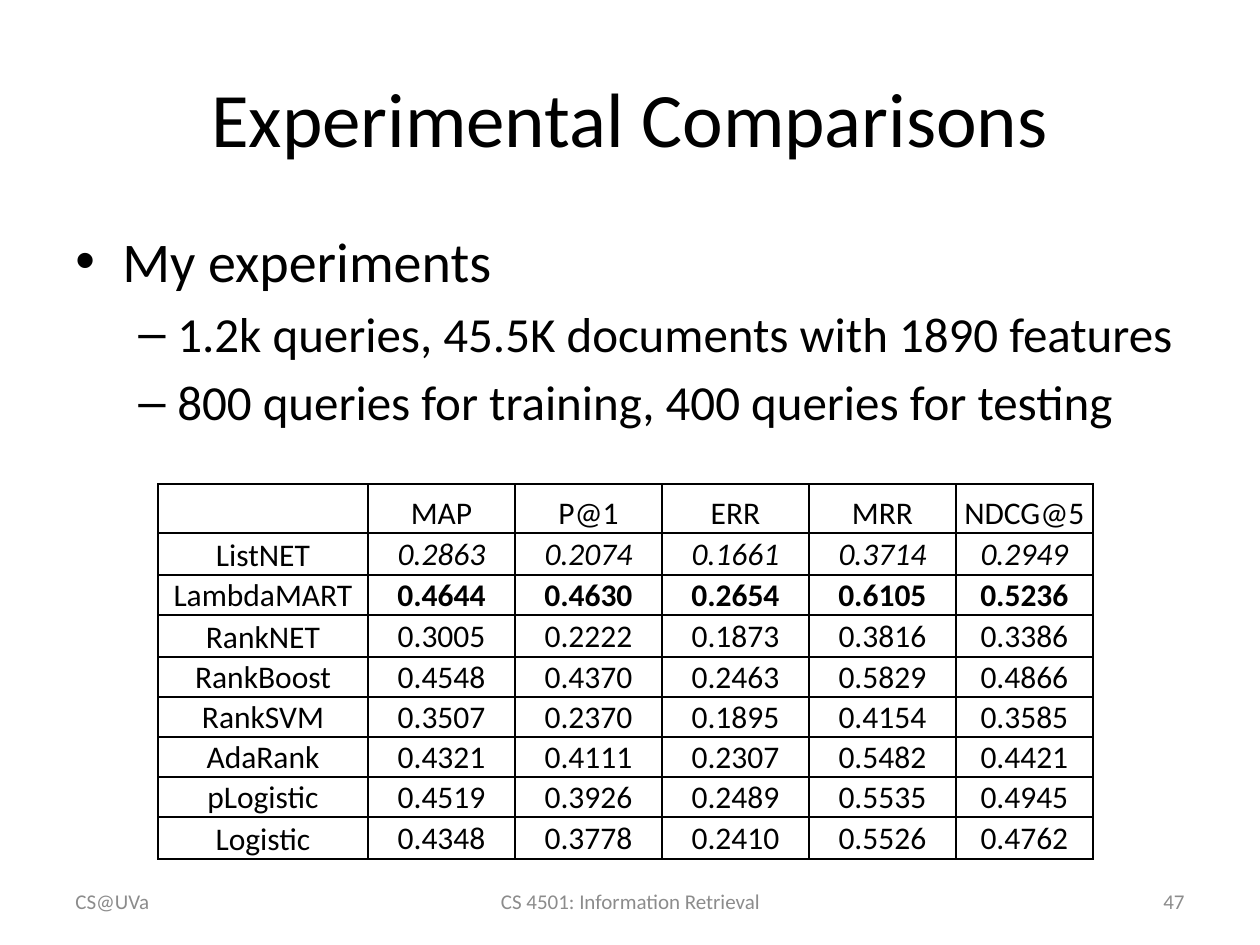
from lxml.etree import SubElement
from pptx import Presentation
from pptx.dml.color import RGBColor
from pptx.enum.text import MSO_ANCHOR, PP_ALIGN
from pptx.oxml.ns import qn
from pptx.util import Emu, Pt

SCALE = 914400 // 126  # EMU per px
FONT = "Calibri"
BLACK, GREY = "000000", "8C8C8C"

TITLE = "Experimental Comparisons"
# text, bullet, size, left margin px, hanging px
BULLETS = [
    ("My experiments", "•", 32, 47, 47),
    ("1.2k queries, 45.5K documents with 1890 features", "–", 28, 102, 39),
    ("800 queries for training, 400 queries for testing", "–", 28, 102, 39),
]
METRICS = ["", "MAP", "P@1", "ERR", "MRR", "NDCG@5"]
RESULTS = [
    ("ListNET", "0.2863", "0.2074", "0.1661", "0.3714", "0.2949"),
    ("LambdaMART", "0.4644", "0.4630", "0.2654", "0.6105", "0.5236"),
    ("RankNET", "0.3005", "0.2222", "0.1873", "0.3816", "0.3386"),
    ("RankBoost", "0.4548", "0.4370", "0.2463", "0.5829", "0.4866"),
    ("RankSVM", "0.3507", "0.2370", "0.1895", "0.4154", "0.3585"),
    ("AdaRank", "0.4321", "0.4111", "0.2307", "0.5482", "0.4421"),
    ("pLogistic", "0.4519", "0.3926", "0.2489", "0.5535", "0.4945"),
    ("Logistic", "0.4348", "0.3778", "0.2410", "0.5526", "0.4762"),
]
WORST, BEST = "ListNET", "LambdaMART"
COLUMN_WIDTHS = [210, 147, 147, 147, 147, 137]
ROW_HEIGHTS = [49, 42, 40, 42, 40, 40, 40, 40, 42]
# text, left, width, alignment
FOOTERS = [
    ("CS@UVa", 63, 294, PP_ALIGN.LEFT),
    ("CS 4501: Information Retrieval", 431, 399, PP_ALIGN.CENTER),
    ("47", 903, 294, PP_ALIGN.RIGHT),
]


def px(length):
    return Emu(length * SCALE)


def color(hex_string):
    return RGBColor.from_string(hex_string)


def format_text(paragraph, size, hex_color=BLACK, align=PP_ALIGN.LEFT):
    paragraph.alignment = align
    paragraph.font.name = FONT
    paragraph.font.size = Pt(size)
    paragraph.font.color.rgb = color(hex_color)


def add_text_frame(slide, left, top, width, height):
    frame = slide.shapes.add_textbox(px(left), px(top), px(width), px(height)).text_frame
    frame.word_wrap = True
    return frame


def add_bullets(slide):
    frame = add_text_frame(slide, 63, 220, 1134, 624)
    for index, (text, bullet, size, margin, hanging) in enumerate(BULLETS):
        paragraph = frame.add_paragraph() if index else frame.paragraphs[0]
        paragraph.text = text
        if index:
            paragraph.space_before = Pt(size * 0.2)
        properties = paragraph._p.get_or_add_pPr()
        properties.set("marL", str(px(margin)))
        properties.set("indent", str(px(-hanging)))
        SubElement(properties, qn("a:buFont"), typeface="Arial")
        SubElement(properties, qn("a:buChar"), char=bullet)
        format_text(paragraph, size)


def add_borders(cell):
    properties = cell._tc.get_or_add_tcPr()
    for position, side in enumerate(("a:lnL", "a:lnR", "a:lnT", "a:lnB")):
        line = SubElement(properties, qn(side), w=str(Pt(1)))
        properties.insert(position, line)
        fill = SubElement(line, qn("a:solidFill"))
        SubElement(fill, qn("a:srgbClr"), val=BLACK)


def add_results(slide):
    rows = [METRICS, *RESULTS]
    table = slide.shapes.add_table(
        len(rows), len(METRICS), px(158), px(484),
        px(sum(COLUMN_WIDTHS)), px(sum(ROW_HEIGHTS))).table
    table.first_row = table.horz_banding = False
    for column, width in zip(table.columns, COLUMN_WIDTHS):
        column.width = px(width)
    for r, (values, height) in enumerate(zip(rows, ROW_HEIGHTS)):
        table.rows[r].height = px(height)
        for c, value in enumerate(values):
            cell = table.cell(r, c)
            is_label = r == 0 or c == 0
            cell.text = value
            cell.margin_left = cell.margin_right = cell.margin_top = px(1)
            cell.margin_bottom = 0
            cell.vertical_anchor = MSO_ANCHOR.BOTTOM if is_label else MSO_ANCHOR.MIDDLE
            cell.fill.background()
            add_borders(cell)
            paragraph = cell.text_frame.paragraphs[0]
            format_text(paragraph, 18, align=PP_ALIGN.CENTER)
            paragraph.font.italic = not is_label and values[0] == WORST
            paragraph.font.bold = not is_label and values[0] == BEST


def add_footers(slide):
    for text, left, width, align in FOOTERS:
        frame = add_text_frame(slide, left, 876, width, 50)
        frame.vertical_anchor = MSO_ANCHOR.MIDDLE
        frame.text = text
        format_text(frame.paragraphs[0], 12, GREY, align)


def main():
    presentation = Presentation()
    presentation.slide_width, presentation.slide_height = px(1260), px(945)
    slide = presentation.slides.add_slide(presentation.slide_layouts[5])
    title = slide.shapes.title
    title.left, title.top, title.width, title.height = px(63), px(38), px(1134), px(158)
    title.text_frame.text = TITLE
    title.text_frame.vertical_anchor = MSO_ANCHOR.MIDDLE
    format_text(title.text_frame.paragraphs[0], 44, align=PP_ALIGN.CENTER)
    add_bullets(slide)
    add_results(slide)
    add_footers(slide)
    presentation.save("out.pptx")


if __name__ == "__main__":
    main()
